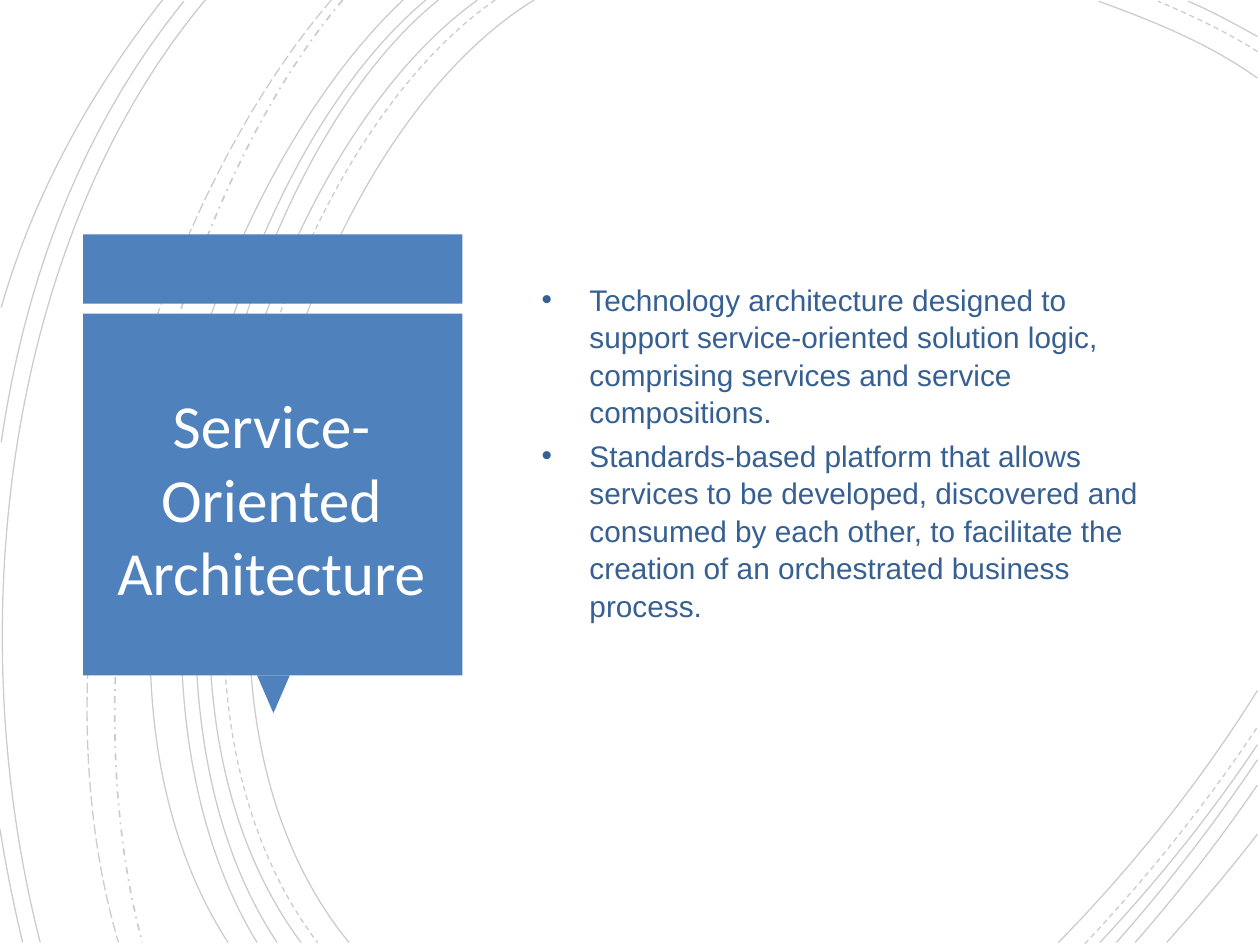
from lxml.etree import SubElement
from pptx import Presentation
from pptx.dml.color import RGBColor
from pptx.enum.dml import MSO_LINE_DASH_STYLE as DASH
from pptx.enum.shapes import MSO_SHAPE as SHAPE
from pptx.enum.text import MSO_ANCHOR as ANCHOR, PP_ALIGN as ALIGN
from pptx.oxml.ns import qn
from pptx.util import Inches, Pt

COLORS = {"curve": "000000", "callout": "4F81BD", "title": "FFFFFF", "body": "376092"}


def rgb(name):
    return RGBColor.from_string(COLORS[name])


def add_text(slide, box, paragraphs, margins, formats):
    """Add a vertically centred text box and return its paragraphs."""
    shape = slide.shapes.add_textbox(*map(Inches, box))
    frame = shape.text_frame
    frame.word_wrap = True
    frame.vertical_anchor = ANCHOR.MIDDLE
    for side, margin in margins.items():
        setattr(frame, f"margin_{side}", Inches(margin))
    frame.text = "\n".join(paragraphs)
    for paragraph in frame.paragraphs:
        font = paragraph.runs[0].font
        font.color.rgb = rgb(formats["color"])
        font.name, font.size = formats["font"], Pt(formats["size"])
        for name, value in formats["paragraph"].items():
            setattr(paragraph, name, value)
    return frame.paragraphs


presentation = Presentation()
presentation.slide_width, presentation.slide_height = Inches(10), Inches(7.5)
slide = presentation.slides.add_slide(presentation.slide_layouts[6])

# Background arcs: start, two control points and end of each curve, by line style
arcs = {
    (DASH.SOLID, 0.75): [
        # Long arcs on the left, from the inside out
        [(4.24, 0), (2.36, 1.15), (1.07, 5.4), (2.77, 7.48)],
        [(3.79, 0), (2.02, 1.27), (0.82, 5.37), (2.39, 7.48)],
        [(3.48, 0), (1.83, 1.33), (0.82, 5.41), (2.2, 7.48)],
        [(3.38, 0), (1.73, 1.38), (0.73, 5.33), (2.04, 7.48)],
        [(3.2, 0), (1.63, 1.47), (0.4, 5.29), (1.81, 7.48)],
        [(1.63, 0), (0.08, 1.85), (-0.34, 4.9), (0.32, 7.48)],
        # Outermost arcs, cut by the left edge
        [(1.46, 0.01), (0.69, 0.96), (0.21, 2.14), (0.01, 3.51)],
        [(0, 6.58), (0.05, 6.89), (0.11, 7.19), (0.18, 7.48)],
        [(1.29, 0), (0.75, 0.69), (0.28, 1.5), (0.01, 2.44)],
        # Top right corner
        [(9.98, 0.62), (9.59, 0.34), (9.13, 0.16), (8.72, 0.01)],
        [(9.98, 0.29), (9.8, 0.19), (9.62, 0.09), (9.43, 0.01)],
        # Bottom right corner
        [(8.4, 7.48), (8.97, 6.9), (9.52, 6.22), (9.98, 5.48)],
        [(8.73, 7.48), (9.17, 7.01), (9.6, 6.48), (9.98, 5.91)],
        [(8.86, 7.48), (9.25, 7.04), (9.63, 6.55), (9.98, 6.03)],
        [(9.01, 7.48), (9.35, 7.09), (9.68, 6.67), (9.98, 6.23)],
        [(9.26, 7.48), (9.5, 7.21), (9.75, 6.92), (9.98, 6.62)],
    ],
    (DASH.DASH, 0.75): [
        [(3.93, 0), (2.13, 1.25), (0.92, 5.37), (2.52, 7.48)],
        [(9.98, 0.41), (9.73, 0.25), (9.45, 0.12), (9.19, 0.01)],
        [(8.61, 7.49), (9.09, 6.98), (9.56, 6.4), (9.98, 5.77)],
    ],
    (DASH.DASH_DOT, 1): [[(2.72, 0), (1.32, 1.66), (0.49, 5.09), (1.13, 7.48)]],
    (DASH.LONG_DASH, 0.75): [[(2.63, 0), (1.18, 1.69), (0.21, 4.99), (0.94, 7.48)]],
}
arc_group = slide.shapes.add_group_shape()
for (dash, width), curves in arcs.items():
    for curve in curves:
        start, *others = [(Inches(x), Inches(y)) for x, y in curve]
        builder = arc_group.shapes.build_freeform(*start)
        builder.add_line_segments(others, close=False)
        shape = builder.convert_to_shape()
        shape.shadow.inherit = False
        shape.fill.background()
        shape.line.color.rgb = rgb("curve")
        shape.line.width = Pt(width)
        shape.line.dash_style = dash
        color = next(shape.line._ln.iter(qn("a:srgbClr")))
        SubElement(color, qn("a:alpha"), val="20000")
        # Turn the three segments into one cubic Bézier curve
        outline = next(shape._element.iter(qn("a:path")))
        bezier = SubElement(outline, qn("a:cubicBezTo"))
        for segment in outline.findall(qn("a:lnTo")):
            bezier.append(segment[0])
            outline.remove(segment)

# Title callout: top band, pointer and panel
callout_group = slide.shapes.add_group_shape()
for kind, box, rotation in [
    (SHAPE.RECTANGLE, (0.66, 1.86, 3.01, 0.55), 0),
    (SHAPE.ISOSCELES_TRIANGLE, (2.04, 5.36, 0.26, 0.3), 180),
    (SHAPE.RECTANGLE, (0.66, 2.49, 3.01, 2.87), 0),
]:
    shape = callout_group.shapes.add_shape(kind, *map(Inches, box))
    shape.rotation = rotation
    shape.shadow.inherit = False
    shape.fill.solid()
    shape.fill.fore_color.rgb = rgb("callout")
    shape.line.fill.background()

# Title
add_text(
    slide, (0.74, 2.64, 2.83, 2.62), ["Service-Oriented Architecture"], {},
    {"font": "Calibri", "size": 35, "color": "title",
     "paragraph": {"alignment": ALIGN.CENTER}},
)

# Body bullets, lifted a little above the centre by the bottom margin
bullets = add_text(
    slide, (4.2, 0.88, 5.15, 5.74),
    [
        "Technology architecture designed to support service-oriented solution logic, "
        "comprising services and service compositions.",
        "Standards-based platform that allows services to be developed, discovered and "
        "consumed by each other, to facilitate the creation of an orchestrated business "
        "process.",
    ],
    {"bottom": 0.38},
    {"font": "Arial", "size": 17, "color": "body",
     "paragraph": {"line_spacing": 1.05, "space_before": Pt(3.4)}},
)
for paragraph in bullets:
    properties = paragraph._p.get_or_add_pPr()
    properties.set("marL", str(Inches(0.38)))
    properties.set("indent", str(Inches(-0.38)))
    SubElement(properties, qn("a:buFont"), typeface="Arial")
    SubElement(properties, qn("a:buChar"), char="•")

presentation.save("out.pptx")
